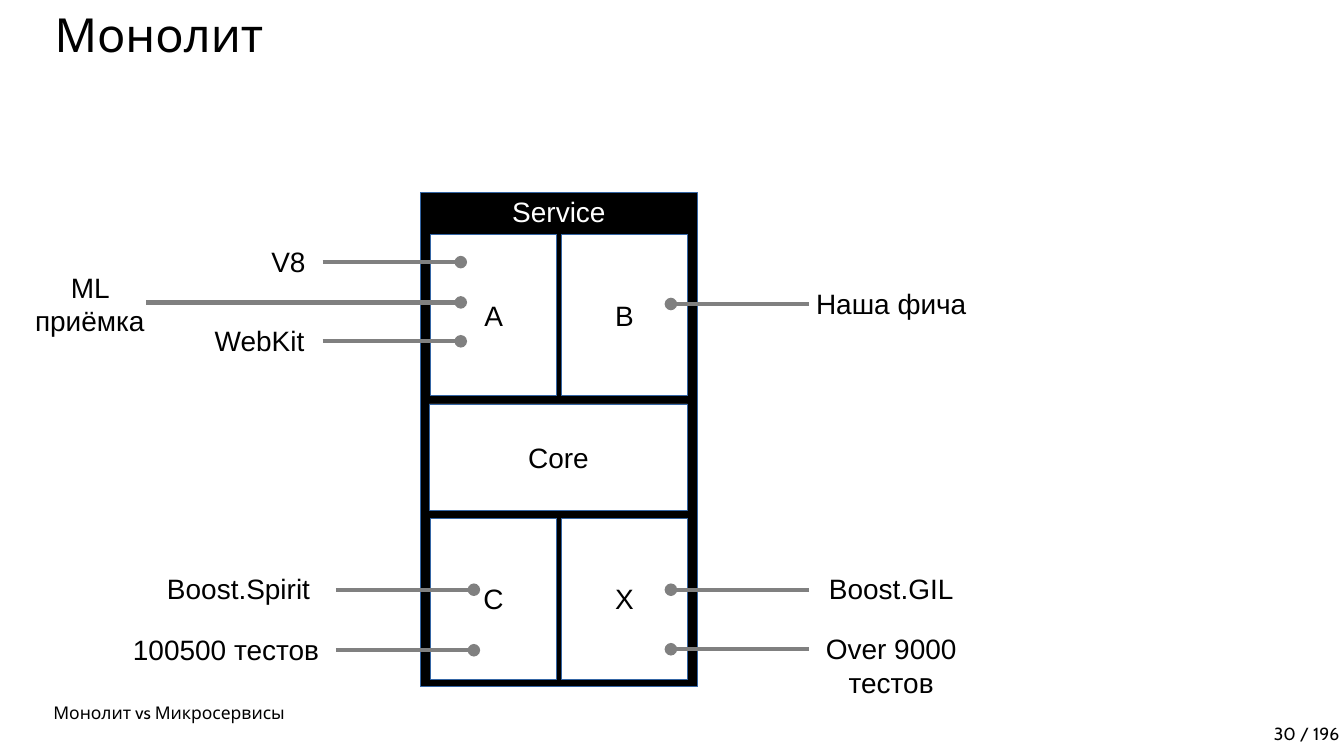
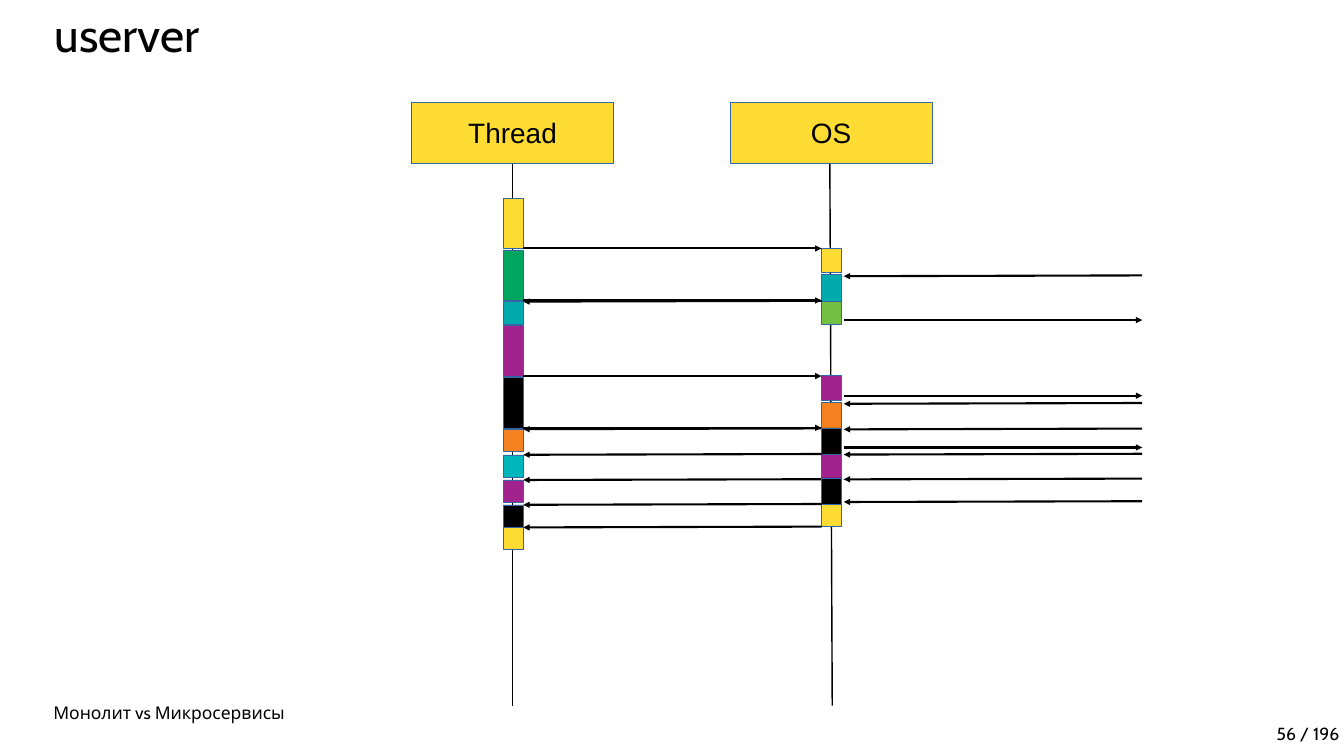
from lxml.etree import SubElement
from pptx import Presentation
from pptx.dml.color import RGBColor
from pptx.enum.shapes import MSO_CONNECTOR, MSO_SHAPE
from pptx.enum.text import MSO_ANCHOR, PP_ALIGN
from pptx.oxml.ns import qn
from pptx.util import Cm, Pt

# Shared style; all lengths are in centimetres
COLORS = {
    "black": "000000", "white": "FFFFFF", "edge": "3465A4", "gray": "808080",
    "yellow": "FFDC33", "green": "00A65D", "lime": "72BF44", "teal": "00AAAD",
    "cyan": "00B6BD", "purple": "A3238E", "orange": "F58220",
}
FOOTER = "Монолит vs Микросервисы"
PAGE_COUNT = 196

# Monolith: service frame and its modules (name, left, top, width, height)
SERVICE = ("Service", 21.18, 9.7, 13.97, 24.9)
MODULE_W, MODULE_H = 6.35, 8.13
MODULE_COLS = (21.7, 28.3)
MODULE_ROWS = [(26.11, "CX"), (11.81, "AB")]
CORE = ("Core", 21.64, 20.35, 13, 5.36)

# Callouts: label, label left, label width, line start, dot, line height
LABEL_RISE = 1.02
CALLOUTS = [
    ("V8", 13.06, 2.95, 16.26, 23.22, 13.21),
    ("Boost.Spirit", 7.37, 9.3, 16.92, 23.88, 29.72),
    ("Boost.GIL", 40.26, 9.3, 40.77, 33.81, 29.72),
    ("100500 тестов", 6.1, 10.57, 16.92, 23.88, 32.77),
    ("WebKit", 10.16, 5.84, 16.26, 23.22, 17.2),
    ("Over 9000 тестов", 40.26, 9.3, 40.77, 33.81, 32.72),
    ("ML приёмка", 1.17, 6.71, 7.37, 23.22, 15.24),
    ("Наша фича", 40.26, 9.3, 40.77, 33.81, 15.32),
]
TALL_LABELS = {"ML приёмка": 0.73}  # extra rise to centre two lines on the line

# Sequence diagram: heads (name, left) and lifelines (x1, y1, x2, y2)
HEADS = [("Thread", 20.75), ("OS", 36.8)]
HEAD_TOP, HEAD_W, HEAD_H = 5.16, 10.16, 3.05
LIFELINES = [(25.83, 6.35, 25.83, 35.56), (41.81, 6.1, 41.94, 35.56)]
THREAD_X, OS_X, BLOCK_W = 25.35, 41.4, 1.02
OUTSIDE_NEAR, OUTSIDE_FAR = 42.52, 57.56

# Steps: kind, top of the first block, thread colour, OS colour
# "call" and "send" start in the thread, "event" arrives from outside
STEPS = [
    ("call", 9.98, "yellow", "yellow"),
    ("event", 25.22, "yellow", "yellow"),
    ("send", 12.6, "green", "lime"),
    ("event", 13.84, "teal", "teal"),
    ("send", 16.41, "purple", "purple"),
    ("send", 19.02, "black", "yellow"),
    ("event", 20.27, "orange", "orange"),
    ("event", 22.83, "purple", "purple"),
    ("event", 21.56, "cyan", "black"),
    ("event", 24.08, "black", "black"),
]


def rgb(name):
    return RGBColor.from_string(COLORS[name])


def write(sp, text, size, font="Arial", color="black", align=PP_ALIGN.CENTER,
          anchor=MSO_ANCHOR.TOP, wrap=True, spacing=None):
    tf = sp.text_frame
    tf.text = text
    tf.word_wrap = wrap
    tf.vertical_anchor = anchor
    p = tf.paragraphs[0]
    p.alignment = align
    p.line_spacing = spacing
    r = p.runs[0]
    r.font.size = Pt(size)
    r.font.name = font
    r.font.color.rgb = rgb(color)


def add_text(s, box, text, size, **style):
    sp = s.shapes.add_textbox(*map(Cm, box))
    write(sp, text, size, **style)


def add_rect(s, box, fill, text=None, **style):
    sp = s.shapes.add_shape(MSO_SHAPE.RECTANGLE, *map(Cm, box))
    sp.shadow.inherit = False
    sp.fill.solid()
    sp.fill.fore_color.rgb = rgb(fill)
    sp.line.color.rgb = rgb("edge")
    sp.line.width = Pt(0)
    if text:
        write(sp, text, 40, wrap=False, **style)


def add_line(s, x1, y1, x2, y2, color="black", width=3, end="triangle"):
    c = s.shapes.add_connector(MSO_CONNECTOR.STRAIGHT, *map(Cm, (x1, y1, x2, y2)))
    c.line.color.rgb = rgb(color)
    c.line.width = Pt(width)
    if end:
        SubElement(c.line._get_or_add_ln(), qn("a:tailEnd"), type=end)
    SubElement(c._element.spPr, qn("a:effectLst"))


def add_slide(prs, title, number):
    s = prs.slides.add_slide(prs.slide_layouts[6])
    cabin = {"font": "Cabin", "spacing": 0.9}
    add_text(s, (2.5, 0.5, 65, 3.56), title, 67, align=PP_ALIGN.LEFT, **cabin)
    add_text(s, (2.44, 35.18, 28.83, 1.42), FOOTER, 25, align=PP_ALIGN.LEFT,
             anchor=MSO_ANCHOR.BOTTOM, **cabin)
    add_text(s, (38.91, 36.2, 28.83, 1.42), f"{number} / {PAGE_COUNT}", 25,
             align=PP_ALIGN.RIGHT, anchor=MSO_ANCHOR.BOTTOM, **cabin)
    return s


def build_monolith(prs):
    s = add_slide(prs, "Монолит", 30)
    # Service frame and modules
    name, *box = SERVICE
    add_rect(s, box, "black", name, color="white")
    for top, names in MODULE_ROWS:
        for left, name in zip(MODULE_COLS, names):
            add_rect(s, (left, top, MODULE_W, MODULE_H), "white", name,
                     anchor=MSO_ANCHOR.MIDDLE)
    name, *box = CORE
    add_rect(s, box, "white", name, anchor=MSO_ANCHOR.MIDDLE)
    # Callouts
    for label, left, width, start, dot, y in CALLOUTS:
        add_line(s, start, y, dot, y, "gray", 6, "oval")
        top = y - LABEL_RISE - TALL_LABELS.get(label, 0)
        add_text(s, (left, top, width, 2.03), label, 40)


def build_sequence(prs):
    s = add_slide(prs, "userver", 56)
    # Lifelines and heads
    for line in LIFELINES:
        add_line(s, *line, width=0, end=None)
    for name, left in HEADS:
        add_rect(s, (left, HEAD_TOP, HEAD_W, HEAD_H), "yellow", name,
                 anchor=MSO_ANCHOR.MIDDLE)
    # Work blocks and messages
    thread_edge = THREAD_X + BLOCK_W
    for kind, y, thread, system in STEPS:
        if kind == "event":
            add_rect(s, (OS_X, y, BLOCK_W, 1.32), system)
            add_rect(s, (THREAD_X, y + 1.36, BLOCK_W, 1.12), thread)
            add_line(s, OS_X, y + 1.32, thread_edge, y + 1.36)
            add_line(s, OUTSIDE_FAR, y + 0.04, OUTSIDE_NEAR, y + 0.08)
            continue
        add_rect(s, (THREAD_X, y, BLOCK_W, 2.54), thread)
        add_rect(s, (OS_X, y + 2.52, BLOCK_W, 1.22), system)
        add_line(s, thread_edge, y + 2.54, OS_X, y + 2.54)
        if kind == "send":
            add_line(s, OUTSIDE_NEAR, y + 3.53, OUTSIDE_FAR, y + 3.53)


def main():
    prs = Presentation()
    prs.slide_width, prs.slide_height = Cm(67.73), Cm(38.1)
    build_monolith(prs)
    build_sequence(prs)
    prs.save("out.pptx")


if __name__ == "__main__":
    main()
